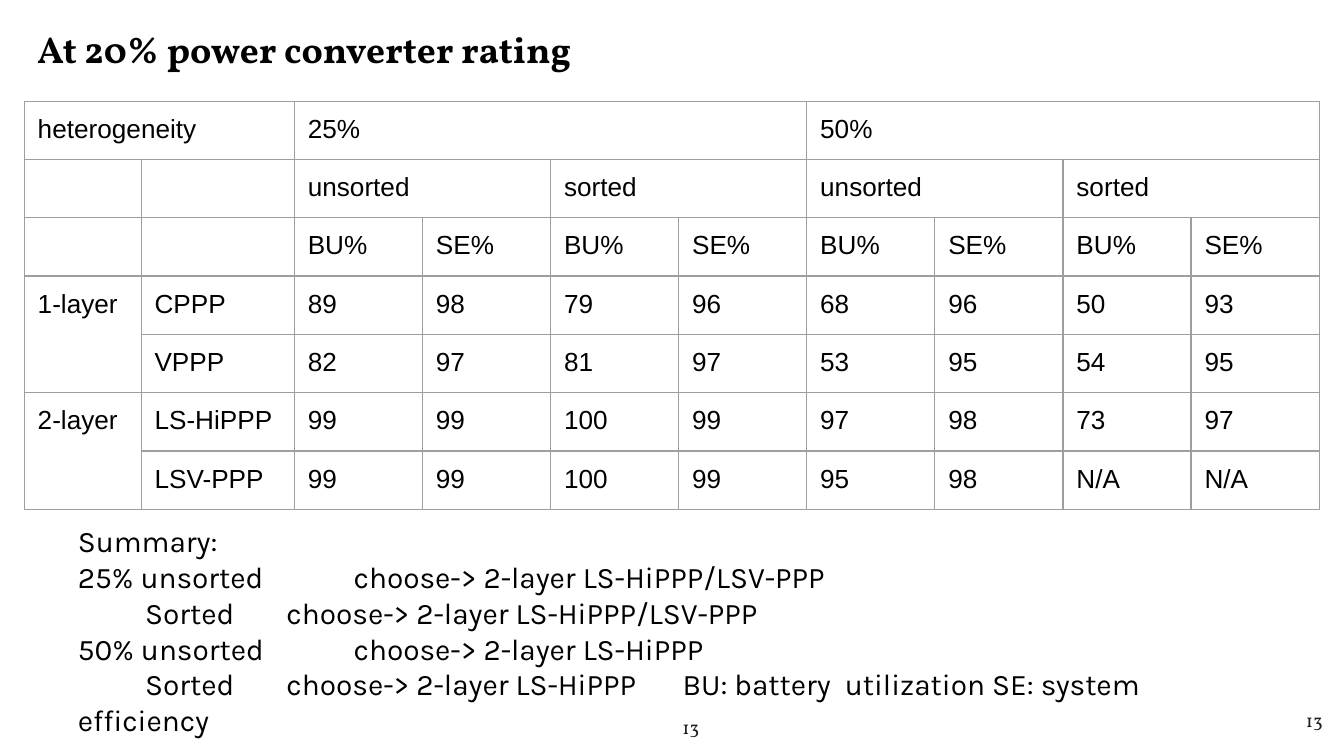
from dataclasses import dataclass

from lxml import etree
from pptx import Presentation
from pptx import util as u
from pptx.dml.color import RGBColor
from pptx.enum import text
from pptx.oxml import ns

RIGHT, DOWN = ">", "^"  # cells covered by the cell to their left, or above


@dataclass(frozen=True)
class Theme:
    black: str = "000000"
    number: str = "1D1D1B"
    grid: str = "9E9E9E"
    serif: str = "Vollkorn"
    sans: str = "Karla"
    table: str = "Arial"
    title_size: float = 20
    summary_size: float = 16
    table_size: float = 14
    number_size: float = 10
    inset: float = 7.2
    grid_width: float = 0.75


def add_xml(parent, tag, **attributes):
    return etree.SubElement(parent, ns.qn(tag), attributes)


class SlideBuilder:
    def __init__(self, page, theme):
        self.page = page
        self.theme = theme

    def set_insets(self, target):
        for side in ("left", "top", "right", "bottom"):
            setattr(target, f"margin_{side}", u.Pt(self.theme.inset))

    def format_spans(self, para, font, size, color, bold=False):
        for span in para.runs:
            span.font.name = font
            span.font.size = u.Pt(size)
            span.font.bold = bold
            span.font.color.rgb = RGBColor.from_string(color)

    def text_box(self, bounds, words, font, size, color, bold=False,
                 align=text.PP_ALIGN.LEFT, anchor=text.MSO_ANCHOR.TOP):
        box = self.page.shapes.add_textbox(*map(u.Pt, bounds))
        frame = box.text_frame
        frame.word_wrap = True
        frame.vertical_anchor = anchor
        self.set_insets(frame)
        frame.text = words
        for para in frame.paragraphs:
            para.alignment = align
            self.format_spans(para, font, size, color, bold)
        return box

    def title(self, bounds, words):
        self.text_box(bounds, words, self.theme.serif, self.theme.title_size,
                      self.theme.black, bold=True, anchor=text.MSO_ANCHOR.MIDDLE)

    def page_number(self, bounds, number):
        self.text_box(bounds, number, self.theme.serif, self.theme.number_size,
                      self.theme.number, align=text.PP_ALIGN.RIGHT)

    def summary(self, bounds, lines, tabs, indent):
        """Lines on shared tab stops; those starting with "Sorted" are indented."""
        box = self.text_box(bounds, "\n".join(lines), self.theme.sans,
                            self.theme.summary_size, self.theme.black)
        box.text_frame.auto_size = text.MSO_AUTO_SIZE.SHAPE_TO_FIT_TEXT
        for para, line in zip(box.text_frame.paragraphs, lines):
            properties = para._p.get_or_add_pPr()
            if line.startswith("Sorted"):
                properties.set("marL", "0")
                properties.set("indent", str(u.Pt(indent)))
            stops = add_xml(properties, "a:tabLst")
            for tab in tabs:
                add_xml(stops, "a:tab", pos=str(u.Pt(tab)), algn="l")

    def table(self, left, top, widths, heights, rows):
        frame = self.page.shapes.add_table(
            len(rows), len(widths), u.Pt(left), u.Pt(top),
            u.Pt(sum(widths)), u.Pt(sum(heights)))
        table = frame.table
        table.first_row = table.horz_banding = False
        for column, width in zip(table.columns, widths):
            column.width = u.Pt(width)
        for row, height in zip(table.rows, heights):
            row.height = u.Pt(height)
        for r, row in enumerate(rows):
            for c, words in enumerate(row):
                covered = words in (RIGHT, DOWN)
                self.cell(table.cell(r, c), "" if covered else words)
        self.merge_cells(table, rows)

    def merge_cells(self, table, rows):
        for r, row in enumerate(rows):
            for c, words in enumerate(row):
                if words in (RIGHT, DOWN):
                    continue
                last_row, last_column = r, c
                while last_column + 1 < len(row) and row[last_column + 1] == RIGHT:
                    last_column += 1
                while last_row + 1 < len(rows) and rows[last_row + 1][c] == DOWN:
                    last_row += 1
                if (last_row, last_column) != (r, c):
                    table.cell(r, c).merge(table.cell(last_row, last_column))

    def cell(self, cell, words):
        self.set_insets(cell)
        para = cell.text_frame.paragraphs[0]
        if words:
            para.text = words
            self.format_spans(para, self.theme.table, self.theme.table_size,
                              self.theme.black)
        else:
            # An empty cell needs its own size, or it stretches the row
            add_xml(para._p, "a:endParaRPr", sz=str(int(self.theme.table_size * 100)))
        properties = cell._tc.get_or_add_tcPr()
        for side in "LRTB":
            line = add_xml(properties, f"a:ln{side}",
                           w=str(u.Pt(self.theme.grid_width)))
            add_xml(add_xml(line, "a:solidFill"), "a:srgbClr", val=self.theme.grid)
        cell.fill.background()


def main():
    deck = Presentation()
    deck.slide_width, deck.slide_height = u.Pt(720), u.Pt(405)
    slide = SlideBuilder(deck.slides.add_slide(deck.slide_layouts[6]), Theme())

    slide.page_number((672.5, 373.7, 43.2, 31), "13")
    slide.page_number((338.4, 377.3, 43.2, 27.4), "13")
    slide.title((13, 8.6, 338.4, 34.6), "At 20% power converter rating")

    rows = [
        ["heterogeneity", RIGHT] + ["25%"] + [RIGHT] * 3 + ["50%"] + [RIGHT] * 3,
        ["", ""] + ["unsorted", RIGHT, "sorted", RIGHT] * 2,
        ["", ""] + ["BU%", "SE%"] * 4,
        ["1-layer", "CPPP", "89", "98", "79", "96", "68", "96", "50", "93"],
        [DOWN, "VPPP", "82", "97", "81", "97", "53", "95", "54", "95"],
        ["2-layer", "LS-HiPPP", "99", "99", "100", "99", "97", "98", "73", "97"],
        [DOWN, "LSV-PPP", "99", "99", "100", "99", "95", "98", "N/A", "N/A"],
    ]
    slide.table(13, 54.2, [62.6, 82.1] + [68.64] * 8,
                [30, 30, 31] + [30.2] * 4, rows)

    slide.summary((34.6, 272.9, 649.4, 111.6), [
        "Summary:",
        "25% unsorted\t choose-> 2-layer LS-HiPPP/LSV-PPP",
        "Sorted\t choose-> 2-layer LS-HiPPP/LSV-PPP",
        "50% unsorted\t choose-> 2-layer LS-HiPPP",
        "Sorted\t choose-> 2-layer LS-HiPPP"
        "\tBU: battery  utilization SE: system efficiency",
    ], tabs=(144, 360), indent=36)

    deck.save("out.pptx")


if __name__ == "__main__":
    main()
